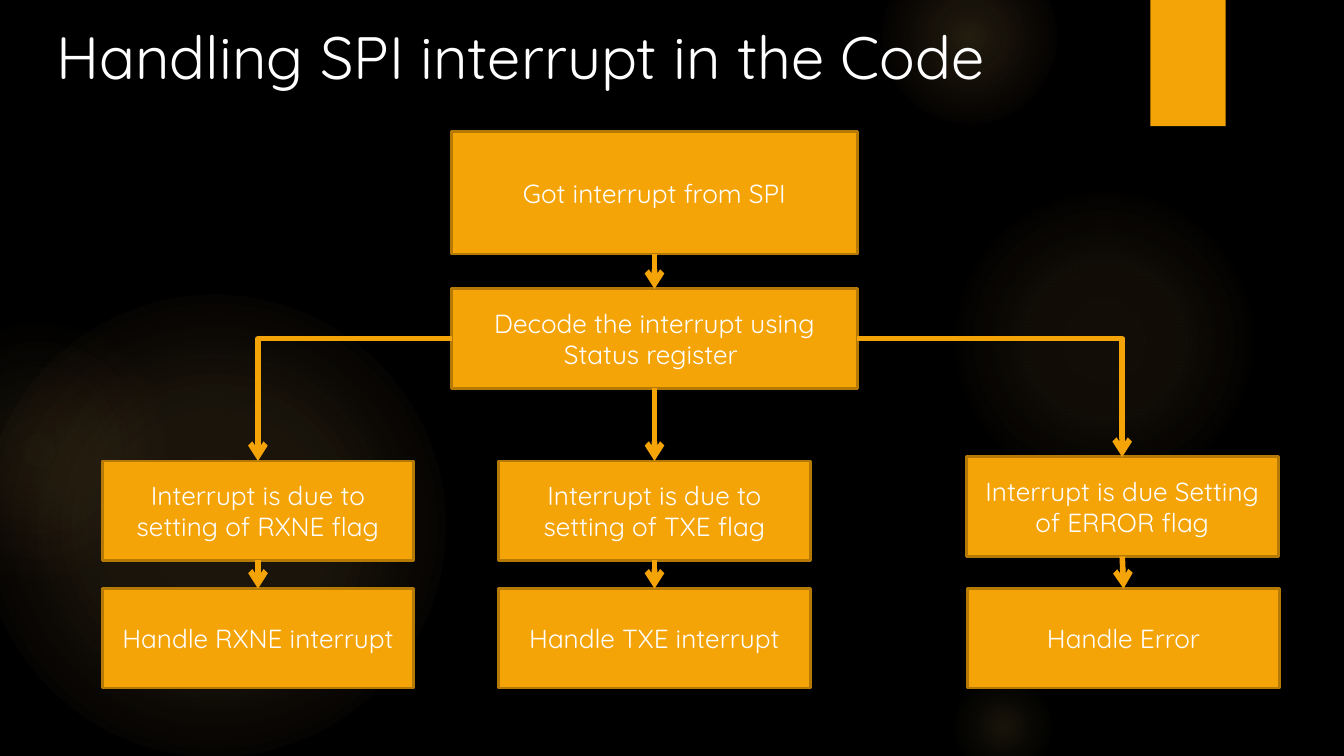
from lxml.etree import SubElement
from pptx import Presentation
from pptx.dml.color import RGBColor
from pptx.enum.shapes import MSO_CONNECTOR, MSO_SHAPE
from pptx.enum.text import MSO_ANCHOR, MSO_AUTO_SIZE, PP_ALIGN
from pptx.oxml import parse_xml
from pptx.oxml.ns import qn
from pptx.util import Inches, Pt

NS = "http://schemas.openxmlformats.org/drawingml/2006/main"
TOP, LEFT, BOTTOM, RIGHT = range(4)


def color(code):
    return RGBColor.from_string(code)


class Deck:
    font, white, gold, edge, glow_tint = "Quicksand", "FFFFFF", "F5A408", "B57906", "FAC96A"

    def __init__(self, slide):
        self.slide = slide
        self.shapes = slide.shapes

    def style(self, frame, size):
        for para in frame.paragraphs:
            for run in para.runs:
                run.font.name = self.font
                run.font.size = Pt(size)
                run.font.color.rgb = color(self.white)

    def shape(self, kind, x, y, w, h):
        item = self.shapes.add_shape(kind, Inches(x), Inches(y), Inches(w), Inches(h))
        item.shadow.inherit = False
        item.line.fill.background()
        return item

    def glow(self, x, y, size, stops):
        """Soft round light; stops are (position, tint, opacity) in percent."""
        disc = self.shape(MSO_SHAPE.OVAL, x, y, size, size)
        marks = "".join(
            f'<a:gs pos="{pos * 1000}"><a:srgbClr val="{tint}">'
            f'<a:alpha val="{alpha * 1000}"/></a:srgbClr></a:gs>'
            for pos, tint, alpha in stops)
        fill = parse_xml(
            f'<a:gradFill xmlns:a="{NS}" rotWithShape="1"><a:gsLst>{marks}</a:gsLst>'
            '<a:path path="circle"><a:fillToRect l="50000" t="50000" r="50000" b="50000"/>'
            '</a:path></a:gradFill>')
        disc._element.spPr.find(qn("a:prstGeom")).addnext(fill)

    def block(self, x, y, w, h):
        item = self.shape(MSO_SHAPE.RECTANGLE, x, y, w, h)
        item.fill.solid()
        item.fill.fore_color.rgb = color(self.gold)
        return item

    def step(self, text, x, y, w, h):
        box = self.block(x, y, w, h)
        box.line.color.rgb = color(self.edge)
        box.line.width = Pt(1.5)
        frame = box.text_frame
        frame.text = text
        frame.word_wrap = True
        frame.vertical_anchor = MSO_ANCHOR.MIDDLE
        frame.paragraphs[0].alignment = PP_ALIGN.CENTER
        self.style(frame, 14)
        return box

    def arrow(self, start, end, side=BOTTOM):
        """Arrow from a side of start to the top of end, bent if it leaves sideways."""
        bent = side != BOTTOM
        kind = MSO_CONNECTOR.ELBOW if bent else MSO_CONNECTOR.STRAIGHT
        link = self.shapes.add_connector(kind, 0, 0, 0, 0)
        link.begin_connect(start, side)
        link.end_connect(end, TOP)
        link.line.color.rgb = color(self.gold)
        link.line.width = Pt(3)
        props = link._element.spPr
        if bent:
            props.find(qn("a:prstGeom")).set("prst", "bentConnector2")
        SubElement(props.find(qn("a:ln")), qn("a:tailEnd"), type="arrow")
        SubElement(props, qn("a:effectLst"))

    def title(self, text, x, y, w, h):
        box = self.shapes.add_textbox(Inches(x), Inches(y), Inches(w), Inches(h))
        frame = box.text_frame
        frame.text = text
        frame.word_wrap = False
        frame.auto_size = MSO_AUTO_SIZE.SHAPE_TO_FIT_TEXT
        self.style(frame, 32)


def main():
    show = Presentation()
    # Widescreen, 16 by 9
    show.slide_width = Inches(10)
    show.slide_height = show.slide_width * 9 // 16
    deck = Deck(show.slides.add_slide(show.slide_layouts[6]))
    back = deck.slide.background.fill
    back.solid()
    back.fore_color.rgb = color("000000")

    # Backdrop lights: left, top, size, inner and middle opacity, stops, outer tint
    tint = deck.glow_tint
    for x, y, size, core, ring, mid, rim, outer in [
        (-0.13, 2.19, 3.44, 11, 10, 36, 75, tint),
        (-0.69, 2.38, 1.94, 8, 5, 36, 71, "F59B74"),
        (7.06, 1.38, 2.31, 7, 6, 36, 69, tint),
        (6.56, -0.38, 1.31, 14, 7, 36, 73, tint),
        (7.06, 5, 0.81, 10, 5, 31, 66, tint),
    ]:
        deck.glow(x, y, size, [(0, tint, core), (mid, tint, ring), (rim, outer, 0)])
    deck.block(8.56, 0, 0.56, 0.94)

    # Shared steps
    got = deck.step("Got interrupt from SPI", 3.36, 0.98, 3.02, 0.91)
    decode = deck.step("Decode the interrupt using Status register ", 3.36, 2.15, 3.02, 0.74)
    deck.arrow(got, decode)

    # One branch per flag: exit side, cause and its place, handler and its left
    for side, cause, x, y, action, left in [
        (LEFT, "Interrupt is due to setting of RXNE flag", 0.76, 3.43,
         "Handle RXNE interrupt", 0.76),
        (BOTTOM, "Interrupt is due to setting of TXE flag", 3.71, 3.43,
         "Handle TXE interrupt", 3.71),
        (RIGHT, "Interrupt is due Setting of ERROR flag", 7.19, 3.4,
         "Handle Error", 7.2),
    ]:
        flag = deck.step(cause, x, y, 2.32, 0.74)
        handler = deck.step(action, left, 4.38, 2.32, 0.74)
        deck.arrow(decode, flag, side)
        deck.arrow(flag, handler)

    # Title
    deck.title("Handling SPI interrupt in the Code", 0.32, 0.1, 7.51, 0.64)

    show.save("out.pptx")


if __name__ == "__main__":
    main()
